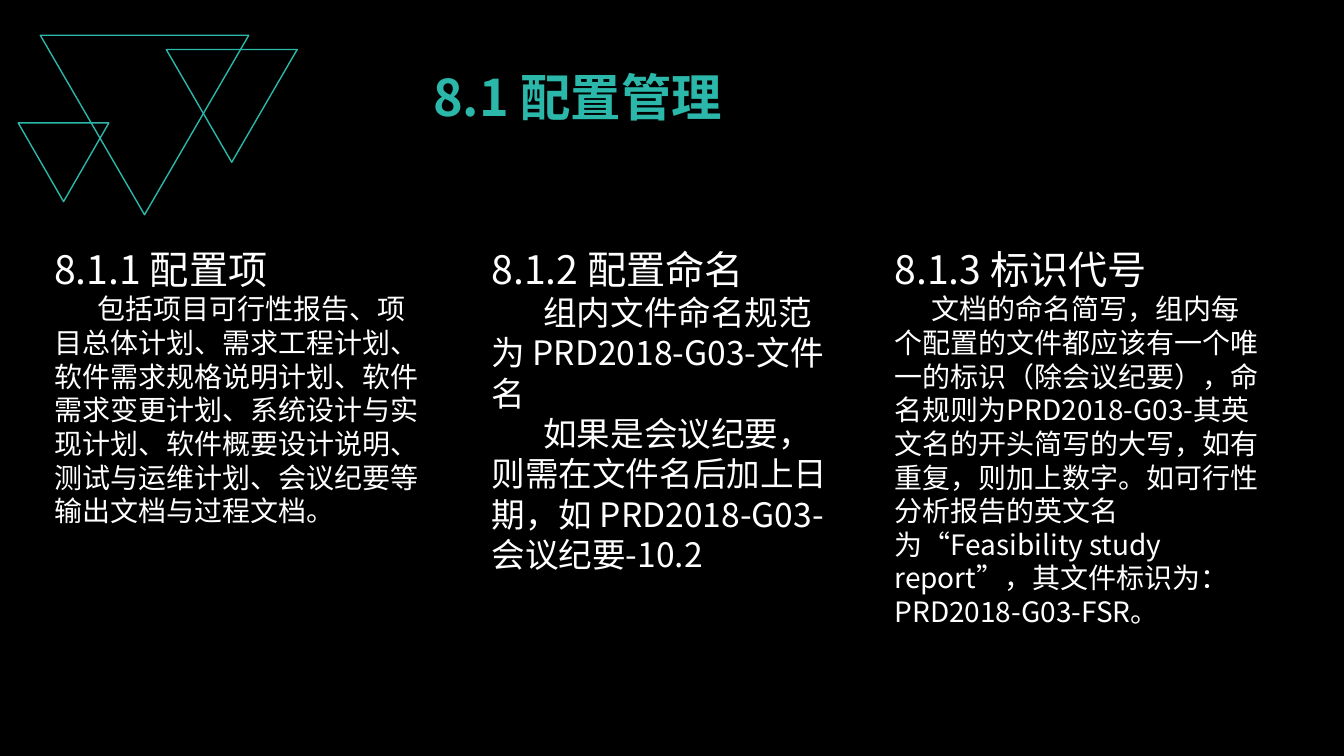
from dataclasses import dataclass

from pptx import Presentation
from pptx import util as u
from pptx.dml.color import RGBColor
from pptx.enum import shapes, text
from pptx.oxml import ns


@dataclass
class Theme:
    font: str = "Noto Sans CJK SC"
    back: RGBColor = RGBColor(0, 0, 0)
    teal: RGBColor = RGBColor(0x2B, 0xB8, 0xAA)
    white: RGBColor = RGBColor(255, 255, 255)
    title: int = 36
    head: int = 28


class Deck:
    def __init__(self, theme):
        self.theme = theme
        self.prs = Presentation()
        self.prs.slide_width = u.Pt(960.48)
        self.prs.slide_height = u.Pt(540)
        self.slide = self.prs.slides.add_slide(self.prs.slide_layouts[6])
        fill = self.slide.background.fill
        fill.solid()
        fill.fore_color.rgb = theme.back

    def wedge(self, left, top, width, height):
        """Outlined triangle that points down."""
        shape = self.slide.shapes.add_shape(
            shapes.MSO_SHAPE.ISOSCELES_TRIANGLE,
            u.Pt(left), u.Pt(top), u.Pt(width), u.Pt(height))
        shape.rotation = 180
        shape.shadow.inherit = False
        shape.fill.background()
        shape.line.color.rgb = self.theme.teal
        shape.line.width = u.Pt(1)

    def box(self, left, top, width, height):
        """Empty wrapping text frame."""
        frame = self.slide.shapes.add_textbox(
            u.Pt(left), u.Pt(top), u.Pt(width), u.Pt(height)).text_frame
        frame.word_wrap = True
        frame.auto_size = text.MSO_AUTO_SIZE.SHAPE_TO_FIT_TEXT
        return frame

    def style(self, para, size, color, bold=False, indent=0):
        """Font for Latin and Chinese text, and first-line indent."""
        for run in para.runs:
            font = run.font
            font.name = self.theme.font
            font.size = u.Pt(size)
            font.bold = bold
            font.color.rgb = color
            east = font._element.makeelement(
                ns.qn("a:ea"), {"typeface": self.theme.font})
            font._element.find(ns.qn("a:latin")).addnext(east)
        if indent:
            para._p.get_or_add_pPr().set("indent", str(u.Pt(indent)))

    def title(self, words, *place):
        para = self.box(*place).paragraphs[0]
        para.text = words
        self.style(para, self.theme.title, self.theme.teal, bold=True)

    def column(self, head, body, size, indent, *place):
        """Heading with indented paragraphs below."""
        frame = self.box(*place)
        frame.text = "\n".join([head, *body])
        first, *rest = frame.paragraphs
        self.style(first, self.theme.head, self.theme.white)
        for para in rest:
            self.style(para, size, self.theme.white, indent=indent)


def main():
    deck = Deck(Theme())

    # Corner ornament
    for place in [(28.8, 25.2, 149, 128.2), (118.8, 35.3, 93.6, 80.6),
                  (13, 87.8, 64.8, 56.2)]:
        deck.wedge(*place)

    # Title
    deck.title("8.1 配置管理", 302.4, 43.9, 409.7, 51.1)

    # Three columns: heading, paragraphs, size, indent, left, width, height
    top = 171.4
    columns = [
        ("8.1.1 配置项",
         ["包括项目可行性报告、项目总体计划、需求工程计划、软件需求规格说明计划、"
          "软件需求变更计划、系统设计与实现计划、软件概要设计说明、"
          "测试与运维计划、会议纪要等输出文档与过程文档。"],
         20, 31, 31.7, 282.2, 232.6),
        ("8.1.2 配置命名",
         ["组内文件命名规范为 PRD2018-G03-文件名",
          "如果是会议纪要，则需在文件名后加上日期，如 PRD2018-G03-会议纪要-10.2"],
         24, 37, 344.2, 258.5, 266.4),
        ("8.1.3 标识代号",
         ["文档的命名简写，组内每个配置的文件都应该有一个唯一的标识（除会议纪要），"
          "命名规则为PRD2018-G03-其英文名的开头简写的大写，如有重复，则加上数字。"
          "如可行性分析报告的英文名为“Feasibility study report”，"
          "其文件标识为：PRD2018-G03-FSR。"],
         20, 26.5, 632.2, 278.6, 283.7),
    ]
    for head, body, size, indent, left, width, height in columns:
        deck.column(head, body, size, indent, left, top, width, height)

    deck.prs.save("out.pptx")


if __name__ == "__main__":
    main()
